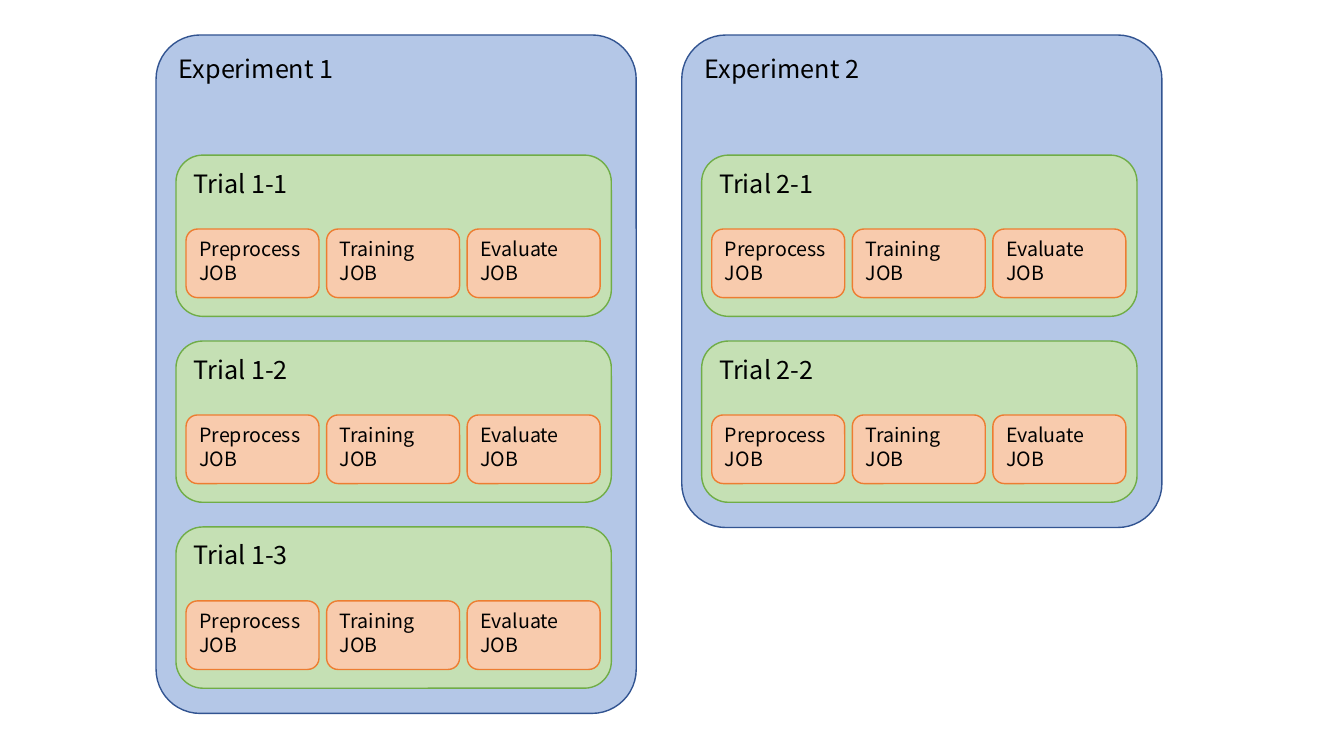
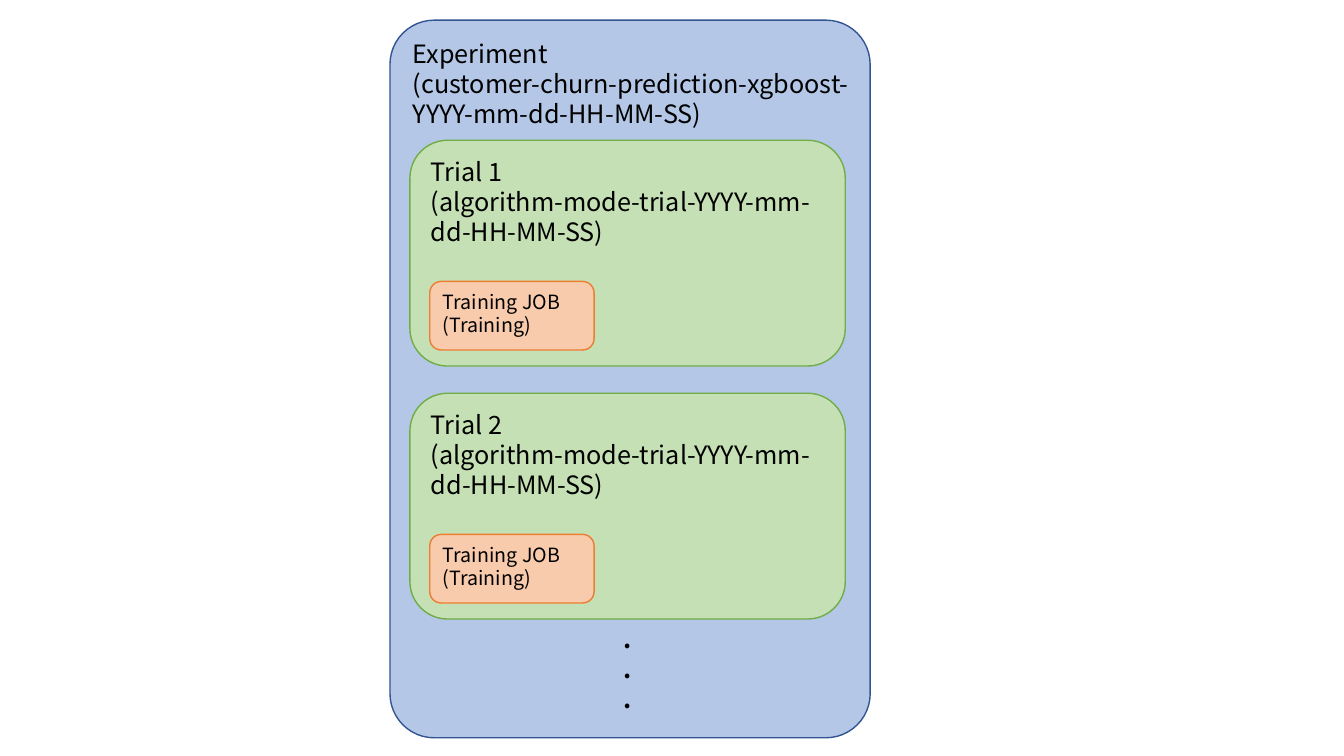
from dataclasses import dataclass

from pptx import Presentation
from pptx.dml.color import RGBColor
from pptx.enum.shapes import MSO_SHAPE
from pptx.enum.text import MSO_ANCHOR, MSO_AUTO_SIZE, PP_ALIGN
from pptx.util import Pt

ROUNDED = MSO_SHAPE.ROUNDED_RECTANGLE
TOP = MSO_ANCHOR.TOP
LEFT = PP_ALIGN.LEFT
FIT_SHAPE = MSO_AUTO_SIZE.SHAPE_TO_FIT_TEXT
BLANK_LAYOUT = 6


@dataclass(frozen=True)
class Style:
    fill: str
    line: str
    size: int
    rounding: float = 0.16667


class Theme:
    font = "Noto Sans CJK JP"
    text = "000000"
    experiment = Style("B4C7E7", "325491", 18, 0.092)
    trial = Style("C5E0B4", "70AD47", 18)
    job = Style("F8CBAD", "ED7D31", 14)


@dataclass(frozen=True)
class TrialLayout:
    """Sizes of the trials on a slide and of the jobs inside them."""
    height: float
    gap: float
    job_left: float
    job_top: float
    job_width: float
    bottom: float


EXPERIMENT_WIDTH = 343
TRIAL_LEFT, TRIAL_TOP, TRIAL_WIDTH = 14.2, 85.8, 311
JOB_HEIGHT, JOB_GAP = 49, 5.4

OVERVIEW = TrialLayout(115.2, 17.6, 7.2, 52.8, 95, 18)
DETAIL = TrialLayout(161.3, 19.4, 14.2, 100.8, 117.4, 84.8)


def write_lines(frame, lines, size, bold=False):
    for index, line in enumerate(lines):
        para = frame.paragraphs[0] if index == 0 else frame.add_paragraph()
        para.text = line
        para.alignment = LEFT
        para.font.name = Theme.font
        para.font.size = Pt(size)
        para.font.bold = bold
        para.font.color.rgb = RGBColor.from_string(Theme.text)


def add_card(page, left, top, width, height, lines, style):
    card = page.shapes.add_shape(ROUNDED, Pt(left), Pt(top), Pt(width), Pt(height))
    card.adjustments[0] = style.rounding
    card.shadow.inherit = False
    card.fill.solid()
    card.fill.fore_color.rgb = RGBColor.from_string(style.fill)
    card.line.color.rgb = RGBColor.from_string(style.line)
    card.line.width = Pt(1)
    card.text_frame.word_wrap = True
    card.text_frame.vertical_anchor = TOP
    write_lines(card.text_frame, lines, style.size)


def add_trial(page, left, top, lines, jobs, layout):
    add_card(page, left, top, TRIAL_WIDTH, layout.height, lines, Theme.trial)
    for column, job in enumerate(jobs):
        job_left = left + layout.job_left + column * (layout.job_width + JOB_GAP)
        add_card(page, job_left, top + layout.job_top, layout.job_width,
                 JOB_HEIGHT, job, Theme.job)


def add_experiment(page, left, top, lines, trials, jobs, layout):
    """Draw an experiment as tall as its trials need; return its height."""
    pitch = layout.height + layout.gap
    height = TRIAL_TOP + len(trials) * pitch - layout.gap + layout.bottom
    add_card(page, left, top, EXPERIMENT_WIDTH, height, lines, Theme.experiment)
    for row, trial in enumerate(trials):
        add_trial(page, left + TRIAL_LEFT, top + TRIAL_TOP + row * pitch,
                  trial, jobs, layout)
    return height


def add_ellipsis(page, left, top):
    box = page.shapes.add_textbox(Pt(left), Pt(top), Pt(19.4), Pt(72.7))
    box.text_frame.word_wrap = False
    box.text_frame.auto_size = FIT_SHAPE
    write_lines(box.text_frame, ["."] * 3, Theme.experiment.size, bold=True)


def build_overview(page):
    jobs = [(name, "JOB") for name in ("Preprocess", "Training", "Evaluate")]
    for index, trial_count in enumerate((3, 2)):
        number = index + 1
        trials = [[f"Trial {number}-{trial + 1}"] for trial in range(trial_count)]
        add_experiment(page, 111.5 + index * 375.5, 25, [f"Experiment {number}"],
                       trials, jobs, OVERVIEW)


def build_detail(page):
    left, top = 278.6, 14.4
    title = ["Experiment",
             "(customer-churn-prediction-xgboost-YYYY-mm-dd-HH-MM-SS)"]
    trials = [[f"Trial {number}", "(algorithm-mode-trial-YYYY-mm-dd-HH-MM-SS)"]
              for number in (1, 2)]
    jobs = [("Training JOB", "(Training)")]
    height = add_experiment(page, left, top, title, trials, jobs, DETAIL)
    # Dots standing for further trials
    add_ellipsis(page, left + 160, top + height - DETAIL.bottom - 0.8)


deck = Presentation()
deck.slide_width, deck.slide_height = Pt(960), Pt(540)
for build in (build_overview, build_detail):
    build(deck.slides.add_slide(deck.slide_layouts[BLANK_LAYOUT]))
deck.save("out.pptx")
